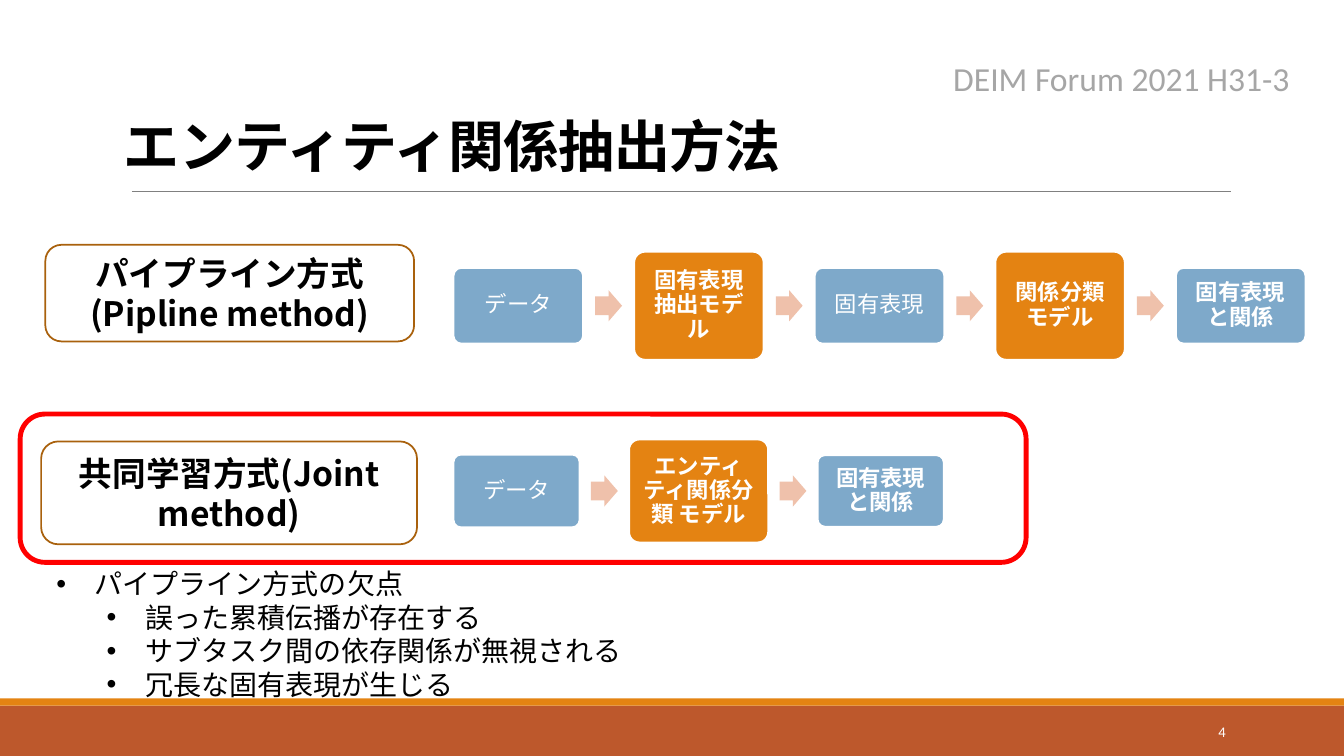
from dataclasses import dataclass

from lxml import etree
from pptx import Presentation
from pptx import util as u
from pptx.dml.color import RGBColor
from pptx.enum import shapes, text
from pptx.oxml import ns

COLS, ROWS = 32, 18
SLIDE_W, SLIDE_H = u.Inches(13.33), u.Inches(7.5)
LATIN, CJK = "Calibri", "Noto Sans CJK JP"
BLACK, WHITE, GREY, RED = "000000", "FFFFFF", "A6A6A6", "FF0000"
RUST, ORANGE, BROWN, BLUE, PEACH = "BD582C", "E48312", "A9610D", "7EA9CA", "EFC1AB"
ROUND = shapes.MSO_SHAPE.ROUNDED_RECTANGLE
RECT, ARROW = shapes.MSO_SHAPE.RECTANGLE, shapes.MSO_SHAPE.RIGHT_ARROW
LEFT, CENTER, RIGHT = text.PP_ALIGN.LEFT, text.PP_ALIGN.CENTER, text.PP_ALIGN.RIGHT
TOP, MIDDLE, BOTTOM = text.MSO_ANCHOR.TOP, text.MSO_ANCHOR.MIDDLE, text.MSO_ANCHOR.BOTTOM


@dataclass
class Box:
    """A rectangle in grid columns and rows."""
    x: float
    y: float
    w: float
    h: float


@dataclass
class Style:
    size: float
    color: str = BLACK
    font: str = CJK
    bold: bool = False
    align: text.PP_ALIGN = LEFT
    spacing: float = 1.0


@dataclass
class Step:
    label: str
    w: float
    h: float
    fill: str = BLUE
    bold: bool = True
    inset: float = 0.1


@dataclass
class Method:
    name: list[str]
    frame: Box
    middle: float
    gap: float
    steps: list[Step]


METHODS = [
    Method(["パイプライン方式", "(Pipline method)"], Box(1.08, 5.83, 8.78, 2.3), 7.28, 1.22, [
        Step("データ", 3.08, 1.8, bold=False),
        Step("固有表現抽出モデル", 3.08, 2.57, ORANGE),
        Step("固有表現", 3.08, 1.8, bold=False),
        Step("関係分類 モデル", 3.08, 2.57, ORANGE),
        Step("固有表現と関係", 3.08, 1.8, inset=0.07)]),
    Method(["共同学習方式(Joint method)"], Box(0.98, 10.51, 8.95, 2.45), 11.69, 1.18, [
        Step("データ", 3, 1.73, bold=False),
        Step("エンティティ関係分類 モデル", 3.31, 2.45, ORANGE),
        Step("固有表現と関係", 3, 1.7)]),
]
STEPS_LEFT = 10.8
ARROW_W, ARROW_H = 0.64, 0.74
DRAWBACKS = [("パイプライン方式の欠点", 0), ("誤った累積伝播が存在する", 1),
             ("サブタスク間の依存関係が無視される", 1), ("冗長な固有表現が生じる", 1)]


def rgb(color: str) -> RGBColor:
    return RGBColor.from_string(color)


def col(n: float) -> int:
    return round(SLIDE_W * n / COLS)


def row(n: float) -> int:
    return round(SLIDE_H * n / ROWS)


def place(sp, box: Box) -> None:
    sp.left, sp.top, sp.width, sp.height = col(box.x), row(box.y), col(box.w), row(box.h)


def add_shape(s, kind, box: Box, fill: str = "", line: str = "", width: float = 1.25):
    sp = s.shapes.add_shape(kind, col(box.x), row(box.y), col(box.w), row(box.h))
    sp.shadow.inherit = False
    if fill:
        sp.fill.solid()
        sp.fill.fore_color.rgb = rgb(fill)
    else:
        sp.fill.background()
    if line:
        sp.line.color.rgb = rgb(line)
        sp.line.width = u.Pt(width)
    else:
        sp.line.fill.background()
    return sp


def write(sp, lines: list[str], style: Style, anchor=MIDDLE) -> None:
    tf = sp.text_frame
    tf.word_wrap = True
    tf.auto_size = text.MSO_AUTO_SIZE.NONE
    tf.vertical_anchor = anchor
    for i, line in enumerate(lines):
        p = tf.paragraphs[0] if i == 0 else tf.add_paragraph()
        p.alignment, p.line_spacing = style.align, style.spacing
        p.space_before = u.Pt(0)
        r = p.add_run()
        r.text = line
        r.font.size, r.font.bold = u.Pt(style.size), style.bold
        r.font.color.rgb = rgb(style.color)
        r.font.name = style.font
        etree.SubElement(r.font._element, ns.qn("a:ea"), typeface=CJK)


def add_text(s, line: str, box: Box, style: Style, anchor=MIDDLE) -> None:
    sp = s.shapes.add_textbox(col(box.x), row(box.y), col(box.w), row(box.h))
    write(sp, [line], style, anchor)


def set_bullet(p, indent: float) -> None:
    """Hang a round bullet 0.38 inch before the text."""
    pPr = p._p.get_or_add_pPr()
    pPr.set("marL", str(u.Inches(indent)))
    pPr.set("indent", str(u.Inches(-0.38)))
    etree.SubElement(pPr, ns.qn("a:buFont"), typeface="Arial")
    etree.SubElement(pPr, ns.qn("a:buChar"), char="•")


def add_frame(s) -> None:
    add_shape(s, RECT, Box(0, 16.8, COLS, 1.2), RUST)
    add_shape(s, RECT, Box(0, 16.63, COLS, 0.17), ORANGE)
    rule = s.shapes.add_connector(shapes.MSO_CONNECTOR.STRAIGHT,
                                  col(3.14), row(4.56), col(29.3), row(4.56))
    rule.line.color.rgb = rgb("808080")
    rule.line.width = u.Pt(0.5)
    etree.SubElement(rule._element.spPr, ns.qn("a:effectLst"))
    add_text(s, "4", Box(25.99, 16.94, 3.43, 0.96), Style(10.5, WHITE, LATIN, align=RIGHT))
    add_text(s, "DEIM Forum 2021 H31-3", Box(22.46, 1.27, 9.05, 1.2),
             Style(24, GREY, LATIN), TOP)


def add_title(s) -> None:
    title = s.shapes.title
    place(title, Box(2.71, 1.73, 26.04, 2.64))
    write(title, ["エンティティ関係抽出方法"], Style(40, font=LATIN, bold=True, spacing=0.85), BOTTOM)
    title.text_frame.paragraphs[0].runs[0].font._element.set("spc", "-50")


def add_drawbacks(s) -> None:
    body = s.placeholders[1]
    place(body, Box(1.1, 13.37, 29.28, 3.48))
    write(body, [line for line, _ in DRAWBACKS], Style(20), TOP)
    for p, (_, level) in zip(body.text_frame.paragraphs, DRAWBACKS):
        p.level = level
        set_bullet(p, 0.38 + 0.5 * level)


def add_method(s, method: Method) -> None:
    """Draw the method's name and its steps, with an arrow in each gap."""
    label = add_shape(s, ROUND, method.frame, line=BROWN)
    write(label, method.name, Style(24, bold=True, align=CENTER))
    x = STEPS_LEFT
    for i, step in enumerate(method.steps):
        if i:
            add_shape(s, ARROW, Box(x + (method.gap - ARROW_W) / 2, method.middle - ARROW_H / 2,
                                    ARROW_W, ARROW_H), PEACH).adjustments[0] = 0.6
            x += method.gap
        sp = add_shape(s, ROUND, Box(x, method.middle - step.h / 2, step.w, step.h),
                       step.fill, WHITE)
        sp.adjustments[0] = 0.1
        tf = sp.text_frame
        tf.margin_left = tf.margin_right = u.Inches(step.inset)
        write(sp, [step.label], Style(16, WHITE, CJK if step.bold else LATIN,
                                      step.bold, CENTER, 0.9))
        x += step.w


def main() -> None:
    prs = Presentation()
    prs.slide_width, prs.slide_height = SLIDE_W, SLIDE_H
    s = prs.slides.add_slide(prs.slide_layouts[1])
    add_frame(s)
    add_title(s)
    add_drawbacks(s)
    for method in METHODS:
        add_method(s, method)
    add_shape(s, ROUND, Box(0.48, 9.86, 23.95, 3.53), line=RED, width=3.5)
    prs.save("out.pptx")


if __name__ == "__main__":
    main()
